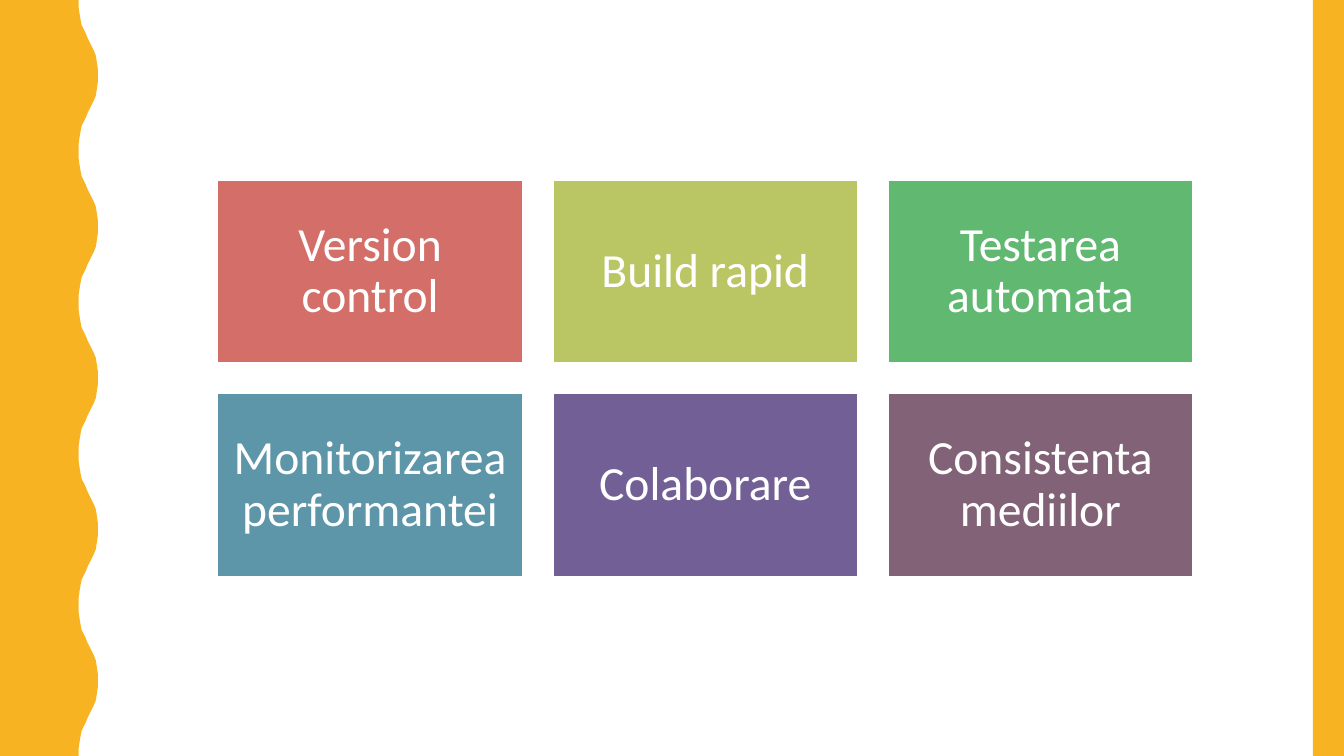
from collections import namedtuple
from dataclasses import dataclass

from pptx import Presentation
from pptx.dml.color import RGBColor
from pptx.enum.shapes import MSO_SHAPE
from pptx.enum.text import MSO_ANCHOR, PP_ALIGN
from pptx.util import Inches, Pt

RECTANGLE = MSO_SHAPE.RECTANGLE
MIDDLE = MSO_ANCHOR.MIDDLE
CENTER = PP_ALIGN.CENTER

Box = namedtuple("Box", "left top width height")


@dataclass(frozen=True)
class Theme:
    paper: str = "FFFFFF"
    accent: str = "F8B323"
    card_text: str = "FFFFFF"
    card_outline: str = "FFFFFF"
    font: str = "Calibri"
    card_size: int = 34
    outline_width: int = 1


THEME = Theme()
SLIDE = Box(0, 0, 13.33, 7.5)
WAVE_BAND = Box(0, 0, 0.97, SLIDE.height)
EDGE_BAND = Box(13.02, 0, 0.31, SLIDE.height)
CARD_AREA = Box(2.16, 1.79, 9.67, 3.92)

# Card wording and fill, row by row
BENEFITS = [
    ("Version control", "D36F68"),
    ("Build rapid", "BAC663"),
    ("Testarea automata", "60B871"),
    ("Monitorizarea performantei", "5E96A9"),
    ("Colaborare", "715F96"),
    ("Consistenta mediilor", "826276"),
]
COLUMNS = 3
GAP_SHARE = 0.1  # gap between cards, as a share of card width
CARD_RATIO = 0.6  # card height to width

# Wave edge from trough to crest: (outward, downward) in inches
WAVE_DEPTH = 0.19
WAVE_COUNT = 5
SWELL = [
    (0, 0), (0, 0.07), (0.01, 0.14), (0.02, 0.2), (0.03, 0.25),
    (0.05, 0.29), (0.07, 0.33), (0.09, 0.38), (0.11, 0.42),
    (0.13, 0.46), (0.15, 0.5), (0.17, 0.55), (0.18, 0.61),
    (0.19, 0.68), (0.19, 0.75),
]


def paint(shape, color, outline=None):
    """Flat fill, with an outline only where one is given."""
    shape.shadow.inherit = False
    shape.fill.solid()
    shape.fill.fore_color.rgb = RGBColor.from_string(color)
    if outline:
        shape.line.color.rgb = RGBColor.from_string(outline)
        shape.line.width = Pt(THEME.outline_width)
    else:
        shape.line.fill.background()


def add_panel(slide, box, color, outline=None):
    panel = slide.shapes.add_shape(RECTANGLE, *(Inches(side) for side in box))
    paint(panel, color, outline)
    return panel


def add_wave_band(slide, box):
    """Band whose right edge swells in equal waves down its height."""
    period = box.height / WAVE_COUNT
    trough = box.left + box.width - WAVE_DEPTH
    one_wave = SWELL + [(out, period - down) for out, down in SWELL[-2::-1]]
    edge = [
        (trough + out, box.top + wave * period + down)
        for wave in range(WAVE_COUNT)
        for out, down in one_wave
    ]
    outline = edge + [(box.left, box.top + box.height)]
    builder = slide.shapes.build_freeform(
        Inches(box.left), Inches(box.top), scale=1.0)
    builder.add_line_segments(
        [(Inches(x), Inches(y)) for x, y in outline], close=True)
    paint(builder.convert_to_shape(), THEME.accent)


def add_card(slide, box, wording, color):
    card = add_panel(slide, box, color, THEME.card_outline)
    frame = card.text_frame
    frame.word_wrap = True
    frame.vertical_anchor = MIDDLE
    frame.margin_left = frame.margin_right = Inches(0.14)
    frame.margin_top = frame.margin_bottom = Inches(0.14)
    frame.text = wording
    paragraph = frame.paragraphs[0]
    paragraph.alignment = CENTER
    paragraph.line_spacing = 0.9
    font = paragraph.runs[0].font
    font.name = THEME.font
    font.size = Pt(THEME.card_size)
    font.color.rgb = RGBColor.from_string(THEME.card_text)


def add_card_grid(slide, box, benefits):
    """Equal cards in rows, filling the width of the box."""
    width = box.width / (COLUMNS + (COLUMNS - 1) * GAP_SHARE)
    height = width * CARD_RATIO
    gap = width * GAP_SHARE
    for index, (wording, color) in enumerate(benefits):
        row, column = divmod(index, COLUMNS)
        place = Box(box.left + column * (width + gap),
                    box.top + row * (height + gap), width, height)
        add_card(slide, place, wording, color)


def build_benefits_slide(deck):
    slide = deck.slides.add_slide(deck.slide_layouts[6])
    slide.background.fill.solid()
    slide.background.fill.fore_color.rgb = RGBColor.from_string(THEME.paper)
    # Side bands
    add_wave_band(slide, WAVE_BAND)
    add_panel(slide, EDGE_BAND, THEME.accent)
    # Benefit cards
    add_card_grid(slide, CARD_AREA, BENEFITS)


def main():
    deck = Presentation()
    deck.slide_width = Inches(SLIDE.width)
    deck.slide_height = Inches(SLIDE.height)
    build_benefits_slide(deck)
    deck.save("out.pptx")


if __name__ == "__main__":
    main()
